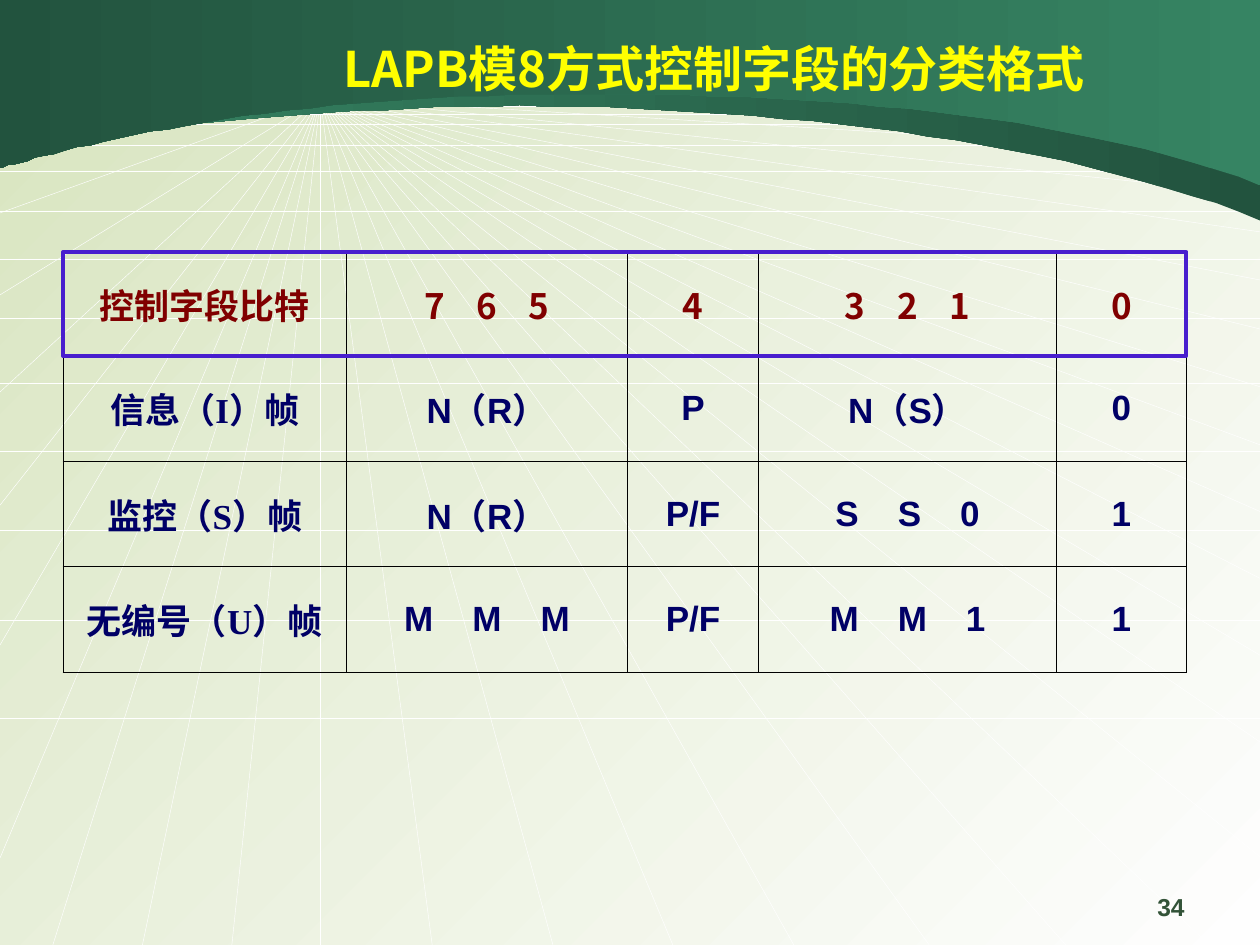
from lxml.etree import SubElement
from pptx import Presentation
from pptx.dml.color import RGBColor
from pptx.enum.shapes import MSO_CONNECTOR, MSO_SHAPE
from pptx.enum.text import MSO_ANCHOR, MSO_AUTO_SIZE, PP_ALIGN
from pptx.oxml.ns import qn
from pptx.util import Pt

THEME = {
    "title": {"font": "Noto Sans CJK SC", "size": 28, "color": "FFFF00"},
    "header": {"font": "Noto Sans CJK SC", "size": 20, "color": "800000", "gap": 13.5},
    "label": {"font": "Times New Roman", "size": 20, "color": "000066"},
    "value": {"font": "Arial", "size": 20, "color": "000066", "gap": 16.7},
    "number": {"font": "Arial", "size": 14, "color": "335338", "align": PP_ALIGN.RIGHT},
    "east_asian": "Noto Sans CJK SC",
    "background": ("FEFEFE", "D7E4BE"),
    "dark_green": "22533E",
    "light_green": "368463",
    "ray": "FFFFFF",
    "border": "000000",
    "frame": "481ECE",
}

TITLE = "LAPB模8方式控制字段的分类格式"
PAGE_NUMBER = "34"
ROWS = [
    ("控制字段比特", "7 6 5", "4", "3 2 1", "0"),
    ("信息（I）帧", "N（R）", "P", "N（S）", "0"),
    ("监控（S）帧", "N（R）", "P/F", "S S 0", "1"),
    ("无编号（U）帧", "M M M", "P/F", "M M 1", "1"),
]
COLUMN_WIDTHS = [162, 160.6, 74.9, 170.3, 74.2]
ROW_HEIGHTS = [59.4, 60.2, 60.2, 60.2]
TABLE_LEFT, TABLE_TOP = 36, 144

WIDTH, HEIGHT = 720, 540
APEX = (183, 56)
RAYS_RIGHT = [424, 489.6, 374.4, 330.5, 292.3, 254.2, 221, 188, 160, 132.5, 111, 88.6, 72]
RAYS_BOTTOM = [691, 609, 531, 453.6, 384.5, 316, 247, 183, 132.5, 81.4, 30.2]
RAYS_LEFT = [490.3, 368.6, 288.7, 224, 168.5, 121.7, 83.5, 70, 56]
HORIZONS = [410.4, 354.2, 303, 257.8, 219, 182, 148.3, 121, 98, 83, 71, 65, 60.5]

BANDS = [
    ("dark_green", "light_green",
     [(0, 85.7), (8, 85), (96, 67), (250, 61.2), (404, 56.2), (598, 76.3), (720, 126)]),
    ("light_green", "dark_green",
     [(0, 95.8), (8, 94.3), (109, 61.2), (262, 55.4), (415.5, 49.7), (598, 58.3), (720, 105.8)]),
]


def rgb(value):
    return RGBColor.from_string(value)


def write(frame, text, *, font, size, color, align=PP_ALIGN.CENTER, gap=0):
    frame.word_wrap = True
    paragraph = frame.paragraphs[0]
    paragraph.alignment = align
    words = text.split(" ")
    pieces = [words[0]] + [piece for word in words[1:] for piece in (" ", word)]
    for piece in pieces:
        run = paragraph.add_run()
        run.text = piece
        run.font.name = font
        run.font.size = Pt(size)
        run.font.bold = True
        run.font.color.rgb = rgb(color)
        properties = run.font._element
        SubElement(properties, qn("a:ea"), typeface=THEME["east_asian"])
        if piece == " ":
            properties.set("spc", str(round(gap * 100)))


def fill_gradient(fill, colors, angle):
    fill.gradient()
    fill.gradient_angle = angle
    for stop, color, position in zip(fill.gradient_stops, colors, (0, 1)):
        stop.color.rgb = rgb(color)
        stop.position = position


def add_ray(slide, start, end):
    line = slide.shapes.add_connector(MSO_CONNECTOR.STRAIGHT, *map(Pt, start + end))
    line.line.color.rgb = rgb(THEME["ray"])
    line.line.width = Pt(0.25)
    SubElement(line._element.spPr, qn("a:effectLst"))


def curve_points(controls, steps=30):
    points = [controls[0]]
    for first in range(0, len(controls) - 1, 3):
        segment = controls[first:first + 4]
        for step in range(1, steps + 1):
            t = step / steps
            weights = ((1 - t) ** 3, 3 * t * (1 - t) ** 2, 3 * t ** 2 * (1 - t), t ** 3)
            points.append(tuple(sum(weight * point[axis] for weight, point in zip(weights, segment))
                                for axis in (0, 1)))
    return points


def add_band(slide, start_color, end_color, controls):
    builder = slide.shapes.build_freeform(0, 0, scale=Pt(1))
    builder.add_line_segments(curve_points(controls) + [(WIDTH, 0)], close=True)
    shape = builder.convert_to_shape()
    shape.shadow.inherit = False
    shape.line.fill.background()
    fill_gradient(shape.fill, (THEME[start_color], THEME[end_color]), 180)


def add_backdrop(slide):
    fill_gradient(slide.background.fill, THEME["background"], 135)
    ends = [(WIDTH, y) for y in RAYS_RIGHT]
    ends += [(x, HEIGHT) for x in RAYS_BOTTOM]
    ends += [(0, y) for y in RAYS_LEFT]
    for end in ends:
        add_ray(slide, APEX, end)
    for y in HORIZONS:
        add_ray(slide, (0, y), (WIDTH, y))
    for band in BANDS:
        add_band(slide, *band)


def add_title(slide):
    title = slide.shapes.title
    title.left, title.top, title.width, title.height = map(Pt, (117, 16.5, 582, 45))
    title.text_frame.auto_size = MSO_AUTO_SIZE.NONE
    title.text_frame.vertical_anchor = MSO_ANCHOR.MIDDLE
    write(title.text_frame, TITLE, **THEME["title"])
    slide.shapes._spTree.append(title._element)


def set_borders(cell):
    properties = cell._tc.get_or_add_tcPr()
    for position, side in enumerate(("a:lnL", "a:lnR", "a:lnT", "a:lnB")):
        line = SubElement(properties, qn(side), w=str(Pt(0.45)))
        SubElement(SubElement(line, qn("a:solidFill")), qn("a:srgbClr"), val=THEME["border"])
        properties.insert(position, line)


def add_format_table(slide):
    area = map(Pt, (TABLE_LEFT, TABLE_TOP, sum(COLUMN_WIDTHS), sum(ROW_HEIGHTS)))
    table = slide.shapes.add_table(len(ROWS), len(COLUMN_WIDTHS), *area).table
    table.first_row = table.horz_banding = False
    for column, width in zip(table.columns, COLUMN_WIDTHS):
        column.width = Pt(width)
    for row, height in zip(table.rows, ROW_HEIGHTS):
        row.height = Pt(height)
    for row_index, row in enumerate(ROWS):
        for column_index, text in enumerate(row):
            cell = table.cell(row_index, column_index)
            cell.vertical_anchor = MSO_ANCHOR.MIDDLE
            cell.fill.background()
            set_borders(cell)
            style = "header" if row_index == 0 else "label" if column_index == 0 else "value"
            write(cell.text_frame, text, **THEME[style])


def add_header_frame(slide):
    area = map(Pt, (TABLE_LEFT, TABLE_TOP, sum(COLUMN_WIDTHS), ROW_HEIGHTS[0]))
    shape = slide.shapes.add_shape(MSO_SHAPE.RECTANGLE, *area)
    shape.shadow.inherit = False
    shape.fill.background()
    shape.line.color.rgb = rgb(THEME["frame"])
    shape.line.width = Pt(2.25)


def main():
    presentation = Presentation()
    presentation.slide_width, presentation.slide_height = Pt(WIDTH), Pt(HEIGHT)
    slide = presentation.slides.add_slide(presentation.slide_layouts[5])
    add_backdrop(slide)
    add_title(slide)
    add_format_table(slide)
    add_header_frame(slide)
    number = slide.shapes.add_textbox(*map(Pt, (516, 506, 168, 25)))
    write(number.text_frame, PAGE_NUMBER, **THEME["number"])
    presentation.save("out.pptx")


if __name__ == "__main__":
    main()
